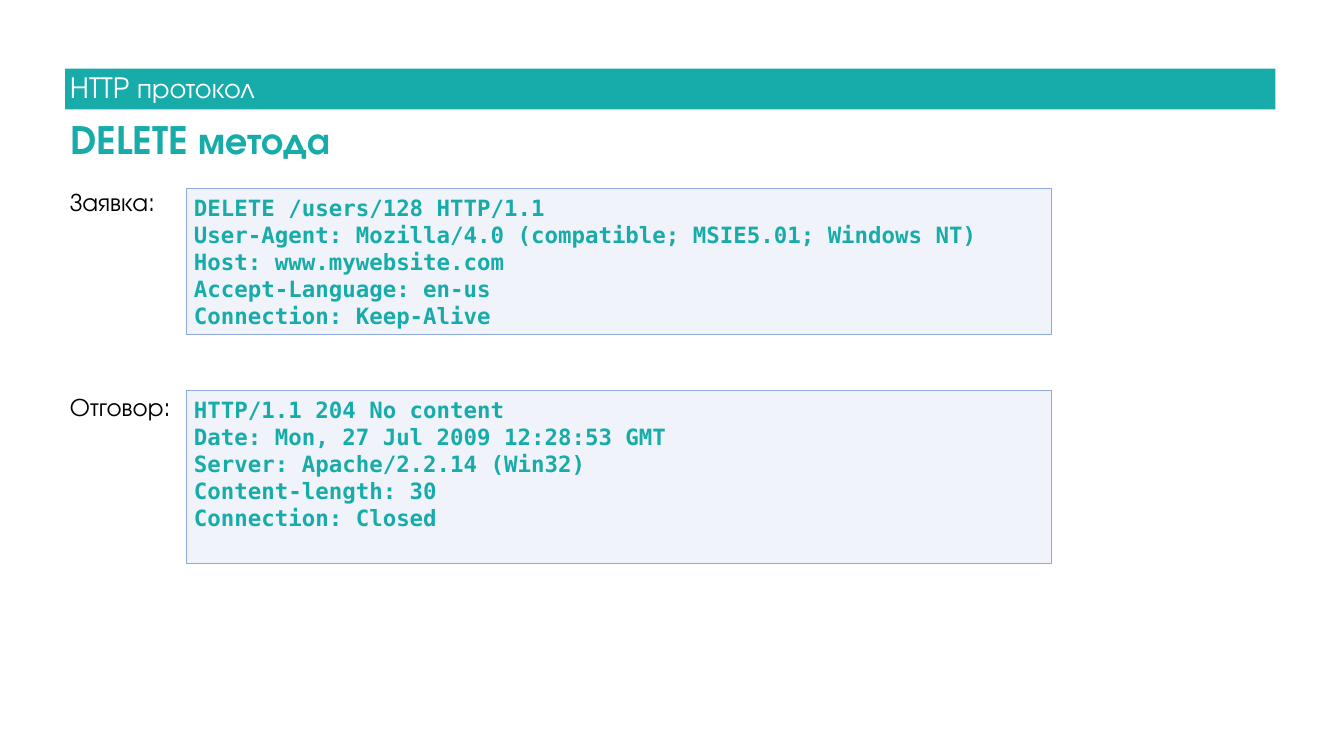
from pptx import Presentation
from pptx.dml.color import RGBColor
from pptx.enum import shapes, text
from pptx.oxml.ns import qn
from pptx.util import Inches, Pt
from lxml import etree

COLORS = {"teal": "17ACA9", "white": "FFFFFF", "black": "000000",
          "pale": "B4C7E7", "edge": "8FAADC"}
SANS, MONO = "TeX Gyre Adventor", "DejaVu Sans Mono"
TOPIC = "HTTP протокол"
TITLE = "DELETE метода"
PANELS = [
    ("Заявка:", 3.72, 3.74, 2.9, [
        "DELETE /users/128 HTTP/1.1",
        "User-Agent: Mozilla/4.0 (compatible; MSIE5.01; Windows NT)",
        "Host: www.mywebsite.com",
        "Accept-Language: en-us",
        "Connection: Keep-Alive",
    ]),
    ("Отговор:", 7.79, 7.74, 3.44, [
        "HTTP/1.1 204 No content",
        "Date: Mon, 27 Jul 2009 12:28:53 GMT",
        "Server: Apache/2.2.14 (Win32)",
        "Content-length: 30",
        "Connection: Closed",
    ]),
]
LEFT, WIDE = 1.29, 24.02
CODE_LEFT, CODE_WIDE = 3.69, 17.17


def color(name):
    return RGBColor.from_string(COLORS[name])


def write(shape, words, face, size, hue, bold=False, spacing=0.9,
          anchor=text.MSO_ANCHOR.TOP, pad=(0.1, 0.05)):
    frame = shape.text_frame
    frame.text = words
    frame.word_wrap = True
    frame.auto_size = text.MSO_AUTO_SIZE.NONE
    frame.vertical_anchor = anchor
    frame.margin_left = frame.margin_right = Inches(pad[0])
    frame.margin_top = frame.margin_bottom = Inches(pad[1])
    for para in frame.paragraphs:
        para.alignment = text.PP_ALIGN.LEFT
        para.line_spacing = spacing
        for run in para.runs:
            run.font.name = face
            run.font.size = Pt(size)
            run.font.bold = bold
            run.font.color.rgb = color(hue)


def add_box(slide, left, top, wide, high, fill):
    box = slide.shapes.add_shape(shapes.MSO_SHAPE.RECTANGLE, Inches(left),
                                 Inches(top), Inches(wide), Inches(high))
    box.shadow.inherit = False
    box.fill.solid()
    box.fill.fore_color.rgb = color(fill)
    box.line.fill.background()
    return box


def add_code(slide, top, high, lines):
    box = add_box(slide, CODE_LEFT, top, CODE_WIDE, high, "pale")
    tint = box.fill._xPr.find(qn("a:solidFill"))[0]
    etree.SubElement(tint, qn("a:alpha"), val="20000")
    box.line.color.rgb = color("edge")
    box.line.width = Pt(1)
    write(box, "\n".join(lines), MONO, 32, "teal", True, 1.0, pad=(0.16, 0.12))


def main():
    deck = Presentation()
    deck.slide_width, deck.slide_height = Inches(26.67), Inches(15)
    slide = deck.slides.add_slide(deck.slide_layouts[5])

    bar = add_box(slide, LEFT, 1.36, WIDE, 0.81, "teal")
    write(bar, TOPIC, SANS, 40, "white", anchor=text.MSO_ANCHOR.MIDDLE)

    title = slide.shapes.title
    title.left, title.top = Inches(LEFT), Inches(2.36)
    title.width, title.height = Inches(WIDE), Inches(0.94)
    write(title, TITLE, SANS, 54, "teal", True)

    for label, label_top, top, high, lines in PANELS:
        tag = slide.shapes.add_textbox(Inches(LEFT), Inches(label_top),
                                       Inches(CODE_LEFT - LEFT), Inches(0.7))
        write(tag, label, SANS, 36, "black")
        add_code(slide, top, high, lines)

    deck.save("out.pptx")


if __name__ == "__main__":
    main()
